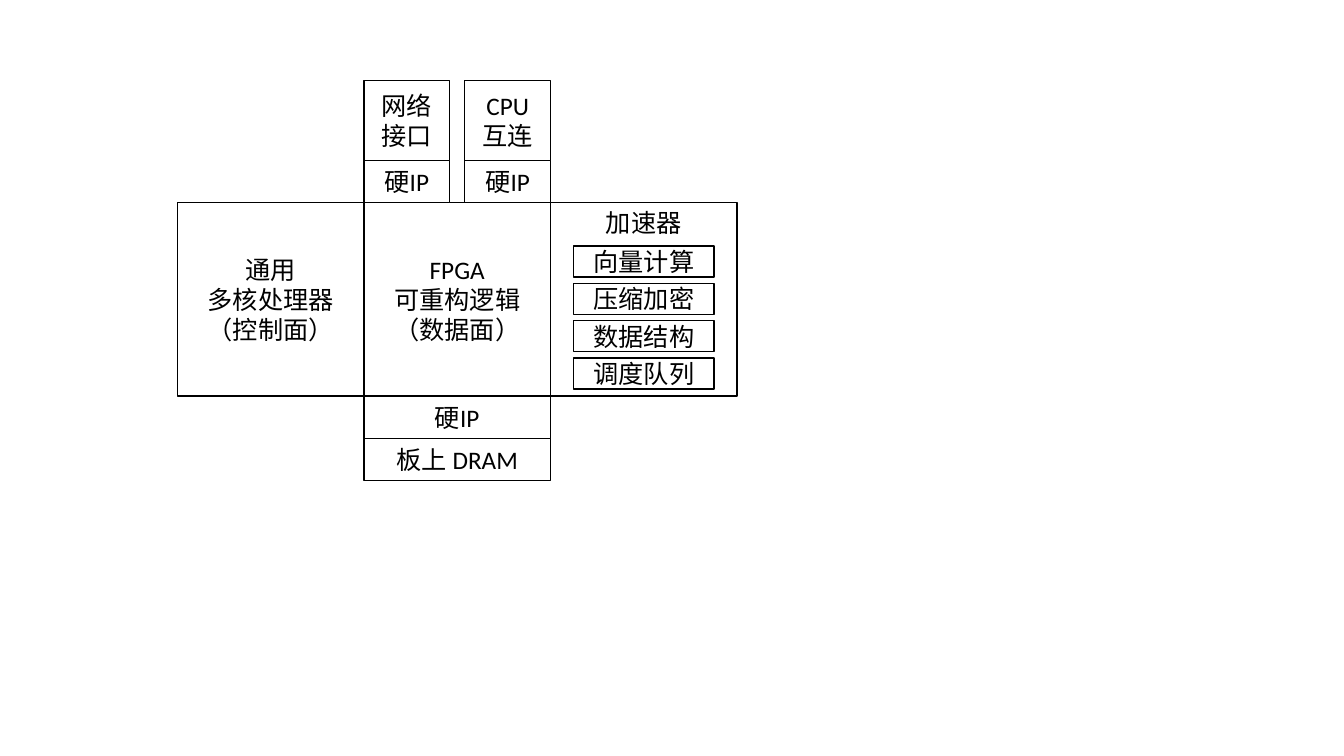
import pptx
import pptx.util
import pptx.dml.color
import pptx.enum.shapes
import pptx.enum.text

# Content: one string per paragraph, "\n" is a line break inside it
CORES = [
    ["通用\n多核处理器", "（控制面）"],
    ["FPGA", "可重构逻辑\n（数据面）"],
    ["加速器"],
]
ENGINES = ["向量计算", "压缩加密", "数据结构", "调度队列"]
PORTS = ["网络接口", "CPU 互连"]
HARD_IP = "硬IP"
MEMORY = [HARD_IP, "板上 DRAM"]

COLORS = {"fill": "FFFFFF", "line": "000000", "text": "000000"}
FONT = {"name": "Calibri", "size": pptx.util.Pt(18)}

# Grid in inches
LEFT, TOP = 1.76, 0.8
COL_W = 1.85
PORT_W, PORT_H = 0.85, 0.79
STRIP_H = 0.42
CORE_H = 1.92
ENGINE_W, ENGINE_H, ENGINE_STEP = 1.39, 0.31, 0.37
ENGINE_DROP = 0.43

anchors = pptx.enum.text.MSO_ANCHOR
prs = pptx.Presentation()
prs.slide_width = pptx.util.Inches(13.33)
prs.slide_height = pptx.util.Inches(7.5)
s = prs.slides.add_slide(prs.slide_layouts[6])


def rgb(name):
    return pptx.dml.color.RGBColor.from_string(COLORS[name])


def add_box(x, y, w, h, lines, anchor=anchors.MIDDLE):
    sp = s.shapes.add_shape(pptx.enum.shapes.MSO_SHAPE.RECTANGLE,
                            *(pptx.util.Inches(v) for v in (x, y, w, h)))
    sp.shadow.inherit = False
    sp.fill.solid()
    sp.fill.fore_color.rgb = rgb("fill")
    sp.line.color.rgb = rgb("line")
    sp.line.width = pptx.util.Pt(1)
    tf = sp.text_frame
    tf.word_wrap = True
    tf.vertical_anchor = anchor
    for i, line in enumerate(lines):
        p = tf.add_paragraph() if i else tf.paragraphs[0]
        p.text = line
        p.alignment = pptx.enum.text.PP_ALIGN.CENTER
        for r in p.runs:
            for key, value in FONT.items():
                setattr(r.font, key, value)
            r.font.color.rgb = rgb("text")


fpga_x = LEFT + COL_W
accel_x = LEFT + 2 * COL_W
strip_y = TOP + PORT_H
core_y = strip_y + STRIP_H

# Main row: processor, FPGA, accelerators
for i, lines in enumerate(CORES):
    anchor = anchors.TOP if i == 2 else anchors.MIDDLE
    add_box(LEFT + i * COL_W, core_y, COL_W, CORE_H, lines, anchor)

# Engines stacked in the accelerator block
for i, engine in enumerate(ENGINES):
    add_box(accel_x + (COL_W - ENGINE_W) / 2,
            core_y + ENGINE_DROP + i * ENGINE_STEP,
            ENGINE_W, ENGINE_H, [engine])

# Ports above the FPGA, flush with its two sides
for i, port in enumerate(PORTS):
    x = fpga_x + i * (COL_W - PORT_W)
    add_box(x, TOP, PORT_W, PORT_H, [port])
    add_box(x, strip_y, PORT_W, STRIP_H, [HARD_IP])

# Memory below the FPGA
for i, name in enumerate(MEMORY):
    add_box(fpga_x, core_y + CORE_H + i * STRIP_H, COL_W, STRIP_H, [name])

prs.save("out.pptx")
